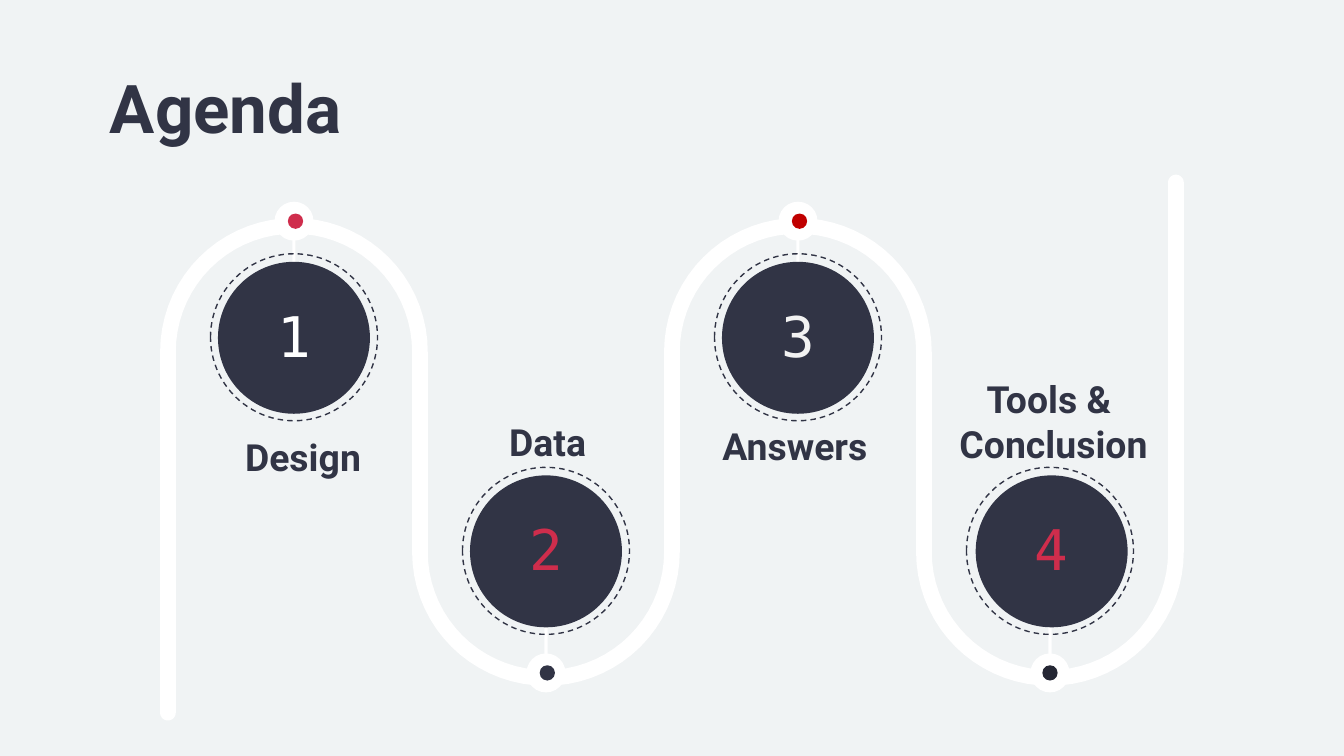
import math

from pptx import Presentation
from pptx import util as u
from pptx.dml.color import RGBColor
from pptx.enum import dml, shapes, text

NAVY, WHITE, RED = "313445", "FFFFFF", "CF2D4C"
OVAL = shapes.MSO_SHAPE.OVAL


def color(hex_value):
    return RGBColor.from_string(hex_value)


def arc(center_x, center_y, radius, direction):
    """Half circle from left to right; direction -1 bends up, 1 bends down."""
    angles = [math.pi * step / 36 for step in range(37)]
    return [(u.Pt(center_x - radius * math.cos(a)),
             u.Pt(center_y + direction * radius * math.sin(a))) for a in angles]


prs = Presentation()
prs.slide_width, prs.slide_height = u.Pt(720), u.Pt(405)
slide = prs.slides.add_slide(prs.slide_layouts[6])
slide.background.fill.solid()
slide.background.fill.fore_color.rgb = color("F0F3F4")

# Winding road: one edge there, the other edge back, with a round cap at each end
bend, half_width = 67.5, 4.2
centers = [157.5 + 2 * bend * i for i in range(4)]
edges = []
for offset in (half_width, -half_width):
    edge = []
    for i, x in enumerate(centers):
        direction = 1 if i % 2 else -1
        edge += arc(x, 295.7 if i % 2 else 188.5, bend - direction * offset, direction)
    edges.append(edge)
start_cap = arc(centers[0] - bend, 381.8, half_width, 1)[::-1]
end_cap = arc(centers[-1] + bend, 97.8, half_width, -1)
outline = start_cap + edges[0] + end_cap + edges[1][::-1]
builder = slide.shapes.build_freeform(*outline[0], scale=1.0)
builder.add_line_segments(outline[1:], close=True)
road = builder.convert_to_shape()
road.shadow.inherit = False
road.fill.solid()
road.fill.fore_color.rgb = color(WHITE)
road.line.fill.background()

# Stops: number, number colour, dot colour, dot x, disc x
stops = [
    ("1", WHITE, RED, 158.3, 157.5),
    ("2", RED, NAVY, 293.2, 292.5),
    ("3", "F2F2F2", "C00000", 428.3, 427.5),
    ("4", RED, "252734", 562.5, 563.4),
]
labels = [("Agenda", 36, 51.84, 28.08, 607.7, 48.2)]
for i, (number, number_color, dot_color, dot_x, disc_x) in enumerate(stops):
    x = centers[i]
    low = i % 2
    knob_y, stem_y, disc_y = (360.5, 340.2, 295.4) if low else (118.5, 139.4, 181)
    parts = [
        (shapes.MSO_SHAPE.ROUNDED_RECTANGLE, x, stem_y, 1.7, 22.3, WHITE),
        (OVAL, x, knob_y, 20.9, 20.9, WHITE),
        (OVAL, dot_x, knob_y, 8.2, 8.2, dot_color),
        (OVAL, disc_x, disc_y, 81.4, 81.4, NAVY),
        (OVAL, x, disc_y - 0.3, 89.5, 89.5, None),
    ]
    for kind, part_x, part_y, width, height, fill in parts:
        part = slide.shapes.add_shape(kind, u.Pt(part_x - width / 2), u.Pt(part_y - height / 2),
                                      u.Pt(width), u.Pt(height))
        part.shadow.inherit = False
        if fill:
            part.fill.solid()
            part.fill.fore_color.rgb = color(fill)
            part.line.fill.background()
        else:
            part.fill.background()
            part.line.color.rgb = color(NAVY)
            part.line.width = u.Pt(0.75)
            part.line.dash_style = dml.MSO_LINE.DASH
    labels.append((number, 30, disc_x - 22.5, disc_y - 17.2, 45, 31, number_color))

labels += [
    ("Design", 20, 97.2, 225.4, 130.3, 31),
    ("Data", 20, 231.1, 217.4, 124.6, 31),
    ("Answers ", 20, 357.8, 219.6, 141.1, 31),
    ("Tools & \nConclusion", 20, 493.9, 194.4, 141.1, 31),
]
for wording, size, left, top, width, height, *number_color in labels:
    box = slide.shapes.add_textbox(u.Pt(left), u.Pt(top), u.Pt(width), u.Pt(height))
    frame = box.text_frame
    frame.word_wrap = True
    frame.margin_left = frame.margin_right = frame.margin_top = frame.margin_bottom = u.Pt(7.2)
    frame.vertical_anchor = text.MSO_ANCHOR.MIDDLE if number_color else text.MSO_ANCHOR.TOP
    frame.text = wording
    for paragraph in frame.paragraphs:
        paragraph.alignment = text.PP_ALIGN.LEFT if size == 36 else text.PP_ALIGN.CENTER
        paragraph.font.size = u.Pt(size)
        paragraph.font.bold = not number_color
        paragraph.font.name = "DejaVu Sans Mono" if number_color else "Roboto"
        paragraph.font.color.rgb = color(number_color[0] if number_color else NAVY)

prs.save("out.pptx")
